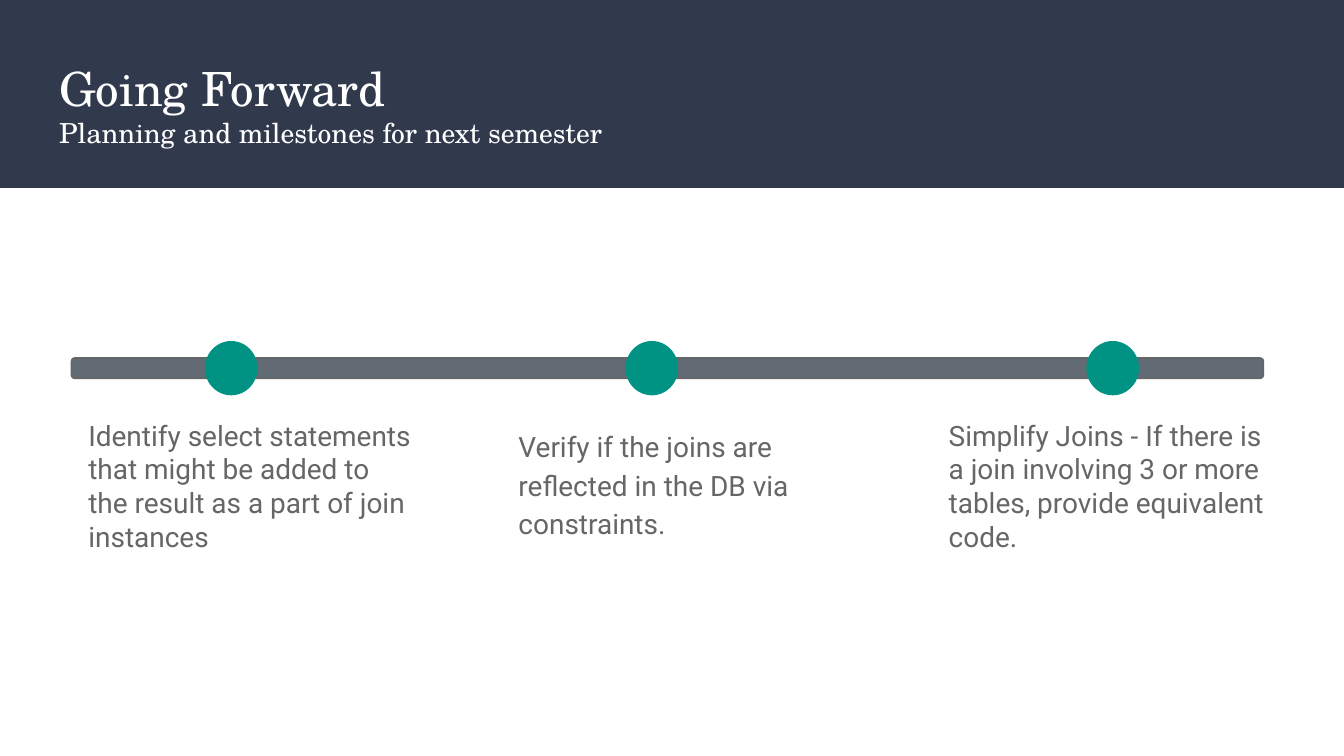
import pptx
import pptx.dml.color
import pptx.enum.shapes
import pptx.enum.text
import pptx.util

Cm = pptx.util.Cm
Pt = pptx.util.Pt
SHAPES = pptx.enum.shapes.MSO_SHAPE

HEADINGS = [("Going Forward", "title"), ("Planning and milestones for next semester", "subtitle")]
MILESTONES = [
    {"text": "Identify select statements that might be added to the result as a part of join instances",
     "center": 4.37, "top": 7.65, "height": 3.07, "line_spacing": 1.0},
    {"text": "Verify if the joins are reflected in the DB via constraints.",
     "center": 12.32, "top": 7.77, "height": 3.78, "line_spacing": 1.15},
    {"text": "Simplify Joins - If there is a join involving 3 or more tables, provide equivalent code.",
     "center": 21.03, "top": 7.65, "height": 3.07, "line_spacing": 1.0},
]

THEME = {
    "colors": {"band": "31394D", "bar": "626B73", "bar_line": "666666", "dot": "009384"},
    "text": {
        "title": ("TeX Gyre Schola", 25.2, "FFFFFF"),
        "subtitle": ("TeX Gyre Schola", 14.8, "FFFFFF"),
        "body": ("Roboto", 15, "666666"),
    },
}

SLIDE_WIDTH, SLIDE_HEIGHT = 25.4, 14.28
BAND_HEIGHT = 3.55
BAR_LEFT, BAR_TOP, BAR_WIDTH, BAR_HEIGHT = 1.35, 6.76, 22.53, 0.39
DOT_WIDTH, DOT_HEIGHT = 0.97, 1.0
COLUMN_LEFT, COLUMN_PITCH, COLUMN_WIDTH = 1.42, 8.13, 6.68
INSET = 0.25


def color(value):
    return pptx.dml.color.RGBColor.from_string(value)


def add_block(slide, kind, left, top, width, height, fill, line=None):
    shape = slide.shapes.add_shape(kind, Cm(left), Cm(top), Cm(width), Cm(height))
    shape.shadow.inherit = False
    shape.fill.solid()
    shape.fill.fore_color.rgb = color(THEME["colors"][fill])
    if line:
        shape.line.color.rgb = color(THEME["colors"][line])
        shape.line.width = Pt(0.75)
    else:
        shape.line.fill.background()
    return shape


def add_text(slide, left, top, width, height, lines, line_spacing=1.0):
    text_box = slide.shapes.add_textbox(Cm(left), Cm(top), Cm(width), Cm(height))
    frame = text_box.text_frame
    frame.word_wrap = True
    frame.vertical_anchor = pptx.enum.text.MSO_ANCHOR.TOP
    frame.margin_left = frame.margin_right = Cm(INSET)
    frame.margin_top = frame.margin_bottom = Cm(INSET)
    for index, (text, style) in enumerate(lines):
        paragraph = frame.add_paragraph() if index else frame.paragraphs[0]
        paragraph.line_spacing = line_spacing
        run = paragraph.add_run()
        run.text = text
        name, size, ink = THEME["text"][style]
        run.font.name = name
        run.font.size = Pt(size)
        run.font.color.rgb = color(ink)


def main():
    presentation = pptx.Presentation()
    presentation.slide_width = Cm(SLIDE_WIDTH)
    presentation.slide_height = Cm(SLIDE_HEIGHT)
    slide = presentation.slides.add_slide(presentation.slide_layouts[6])

    add_block(slide, SHAPES.RECTANGLE, 0, 0, SLIDE_WIDTH, BAND_HEIGHT, "band")
    add_text(slide, 0.87, 0.87, 23.67, 1.73, HEADINGS)

    bar = add_block(slide, SHAPES.ROUNDED_RECTANGLE, BAR_LEFT, BAR_TOP, BAR_WIDTH, BAR_HEIGHT,
                    "bar", "bar_line")
    bar.adjustments[0] = 0.17

    dot_top = BAR_TOP + (BAR_HEIGHT - DOT_HEIGHT) / 2
    for column, milestone in enumerate(MILESTONES):
        add_block(slide, SHAPES.OVAL, milestone["center"] - DOT_WIDTH / 2, dot_top,
                  DOT_WIDTH, DOT_HEIGHT, "dot", "dot")
        add_text(slide, COLUMN_LEFT + column * COLUMN_PITCH, milestone["top"], COLUMN_WIDTH,
                 milestone["height"], [(milestone["text"], "body")], milestone["line_spacing"])

    presentation.save("out.pptx")


if __name__ == "__main__":
    main()
